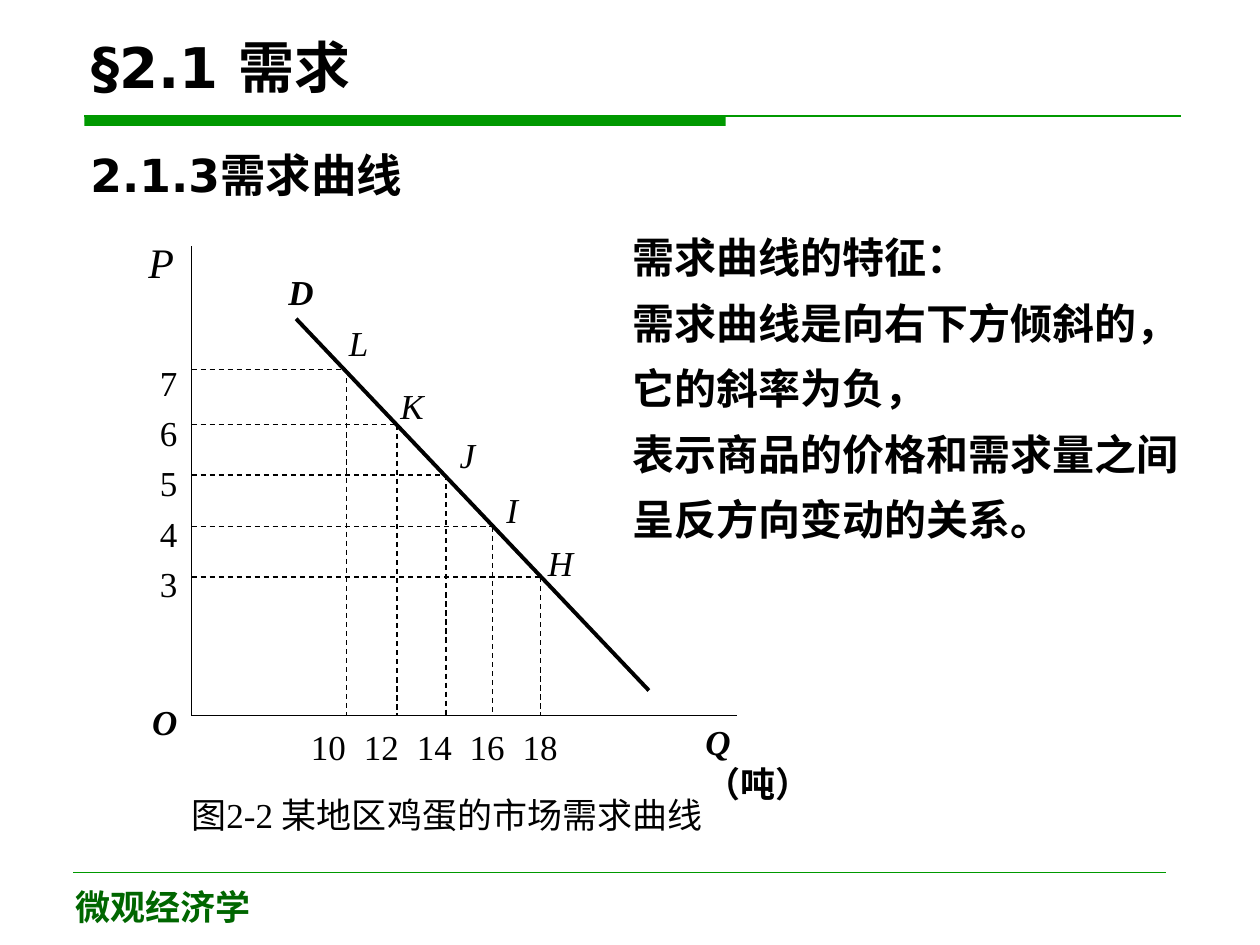
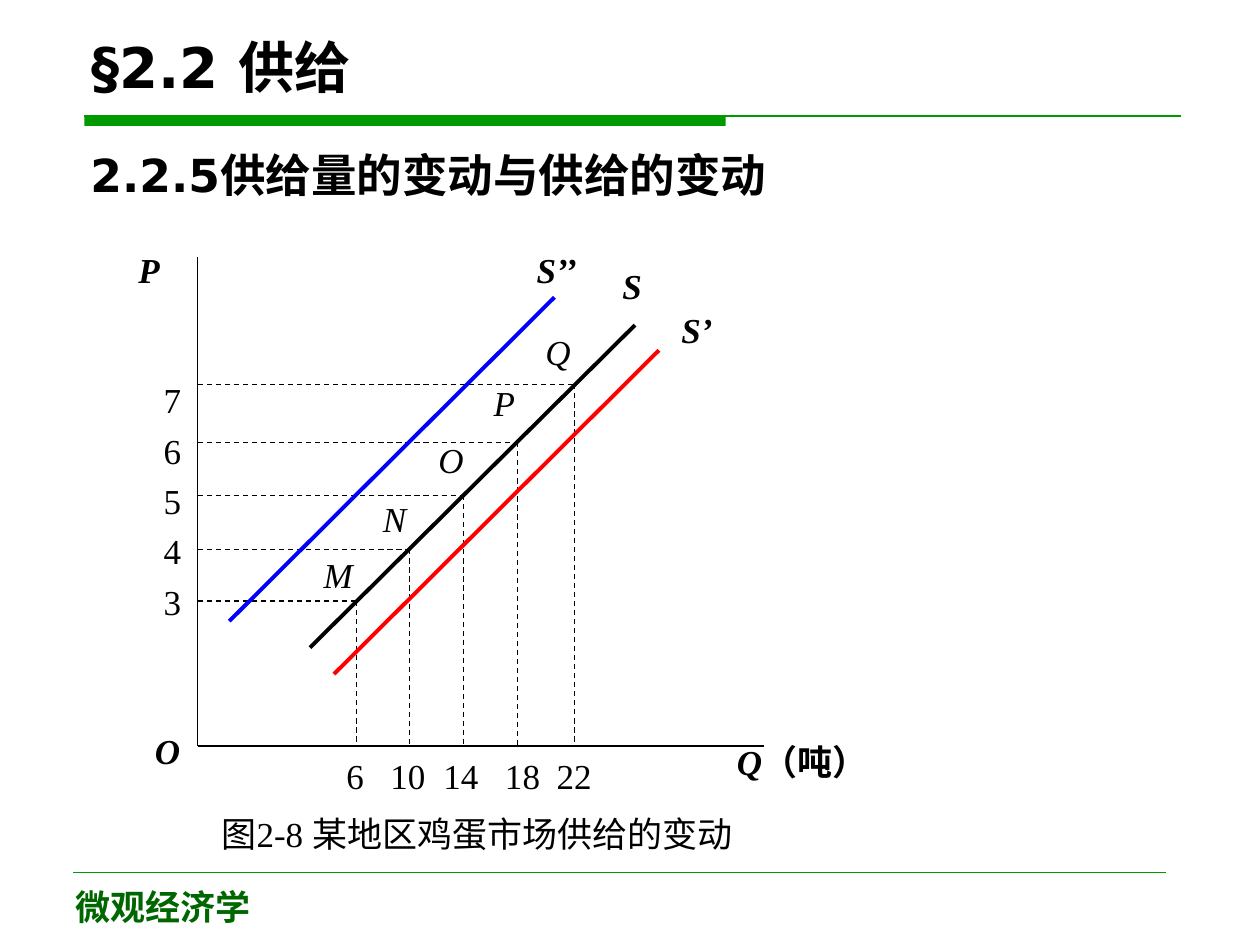
import pptx
import pptx.dml.color
import pptx.enum.dml
import pptx.enum.shapes
import pptx.enum.text
import pptx.oxml.ns
import pptx.util
from lxml import etree
from pptx.util import Inches

# Shared style
COLOURS = {"ink": "000000", "band": "009900", "footer": "006600",
           "red": "FF0000", "blue": "0000FF"}
HEADING, SERIF = "DejaVu Sans", "Times New Roman"
ALIGN = pptx.enum.text.PP_ALIGN
FOOTER = "微观经济学"

FORMATS = {
    "title": {"name": HEADING, "size": 32, "bold": True},
    "subtitle": {"name": HEADING, "size": 26, "bold": True},
    "footer": {"name": HEADING, "size": 20, "bold": True},
    "notes": {"name": SERIF, "size": 24, "bold": True},
    "plain": {"name": SERIF, "size": 20},
    "point": {"name": SERIF, "size": 20, "italic": True},
    "large": {"name": SERIF, "size": 24, "italic": True},
    "curve": {"name": SERIF, "size": 20, "bold": True, "italic": True},
    "unit": {"name": SERIF, "size": 20, "bold": True},
}

# Content: each labelled point is (name, x, y, label left, label top)
PRICES = ["7", "6", "5", "4", "3"]
SLIDES = [
    {
        "title": "§2.1 需求",
        "subtitle": "2.1.3需求曲线",
        "caption": ("图2-2 某地区鸡蛋的市场需求曲线", 1.42, 6.25, 5.39),
        "origin": (1.52, 5.68), "axis_ends": (5.85, 1.95),
        "points": [("L", 2.75, 2.93, 2.67, 2.5), ("K", 3.15, 3.37, 3.08, 3),
                   ("J", 3.54, 3.77, 3.55, 3.39), ("I", 3.91, 4.18, 3.92, 3.83),
                   ("H", 4.29, 4.58, 4.25, 4.25)],
        "curves": [((2.35, 2.53), (5.15, 5.48), "ink")],
        "labels": [("O", 1.11, 5.51, "curve"), ("P", 1.08, 1.83, "large"),
                   ("D", 2.19, 2.1, "curve")],
        "quantity_axis": (5.5, 5.67, 1.15),
        "prices_at": (1.17, 2.75),
        "quantities": (["10", "12", "14", "16", "18"], 2.37, 5.71,
                       [0.42, 0.84, 1.26, 1.68]),
        "notes": ["需求曲线的特征：", "需求曲线是向右下方倾斜的，", "它的斜率为负，",
                  "表示商品的价格和需求量之间", "呈反方向变动的关系。"],
    },
    {
        "title": "§2.2 供给",
        "subtitle": "2.2.5供给量的变动与供给的变动",
        "caption": ("图2-8 某地区鸡蛋市场供给的变动", 1.66, 6.4, 4.9),
        "origin": (1.57, 5.92), "axis_ends": (6.06, 2.04),
        "points": [("M", 2.83, 4.77, 2.47, 4.34), ("N", 3.25, 4.36, 2.94, 3.9),
                   ("O", 3.68, 3.93, 3.38, 3.43), ("P", 4.11, 3.51, 3.82, 2.98),
                   ("Q", 4.56, 3.05, 4.23, 2.57)],
        "curves": [((2.46, 5.14), (5.04, 2.58), "ink"),
                   ((2.65, 5.35), (5.23, 2.78), "red"),
                   ((1.82, 4.93), (4.4, 2.36), "blue")],
        "labels": [("O", 1.13, 5.74, "curve"), ("P", 1, 1.92, "curve"),
                   ("S’", 5.31, 2.4, "curve"), ("S", 4.84, 2.05, "curve"),
                   ("S’’", 4.16, 1.92, "curve")],
        "quantity_axis": (5.75, 5.83, 1.41),
        "prices_at": (1.2, 2.89),
        "quantities": (["6", "10", "14", "18", "22"], 2.65, 5.94,
                       [0.35, 0.77, 1.26, 1.67]),
        "notes": [],
    },
]


def colour(name):
    return pptx.dml.color.RGBColor.from_string(COLOURS[name])


def format_font(font, style, ink):
    for key, value in FORMATS[style].items():
        setattr(font, key, pptx.util.Pt(value) if key == "size" else value)
    font.color.rgb = colour(ink)


def add_tabs(para, stops):
    tab_list = etree.SubElement(para._p.get_or_add_pPr(), pptx.oxml.ns.qn("a:tabLst"))
    for stop in stops:
        etree.SubElement(tab_list, pptx.oxml.ns.qn("a:tab"),
                         pos=str(Inches(stop)), algn="l")


def add_text(page, paragraphs, at, style, ink="ink", align=ALIGN.JUSTIFY,
             spacing=None, tabs=()):
    """Each paragraph is a string or a list of (text, style) spans."""
    box = page.shapes.add_textbox(*map(Inches, at))
    frame = box.text_frame
    frame.word_wrap = True
    for index, content in enumerate(paragraphs):
        para = frame.add_paragraph() if index else frame.paragraphs[0]
        if tabs:
            add_tabs(para, tabs)
        para.alignment = align
        if spacing:
            para.line_spacing = spacing
        spans = [(content, style)] if isinstance(content, str) else content
        for text, span_style in spans:
            span = para.add_run()
            span.text = text
            format_font(span.font, span_style, ink)
    return frame


def add_line(page, start, end, ink="ink", width=0.75, dashed=False):
    line = page.shapes.add_connector(pptx.enum.shapes.MSO_CONNECTOR.STRAIGHT,
                                     *map(Inches, start + end))
    line.line.color.rgb = colour(ink)
    line.line.width = pptx.util.Pt(width)
    if dashed:
        line.line.dash_style = pptx.enum.dml.MSO_LINE.DASH
    etree.SubElement(line._element.spPr, pptx.oxml.ns.qn("a:effectLst"))


def add_frame(page, title, subtitle):
    # Title band and footer
    band = page.shapes.add_shape(pptx.enum.shapes.MSO_SHAPE.RECTANGLE,
                                 *map(Inches, (0.67, 0.92, 5.09, 0.08)))
    band.shadow.inherit = False
    band.fill.solid()
    band.fill.fore_color.rgb = colour("band")
    band.line.fill.background()
    add_line(page, (0.67, 0.92), (9.37, 0.92), "band")
    add_line(page, (0.58, 6.92), (9.25, 6.92), "band", 0.25)
    add_text(page, [FOOTER], (0.5, 6.98, 2.5, 0.52), "footer", "footer", ALIGN.LEFT)

    # Headings
    heading = add_text(page, [title], (0.63, 0.17, 8.75, 0.67), "title",
                       align=ALIGN.LEFT)
    heading.vertical_anchor = pptx.enum.text.MSO_ANCHOR.BOTTOM
    add_text(page, [subtitle], (0.62, 1.17, 8, 0.5), "subtitle", spacing=0.9)


def add_diagram(page, content):
    # Axes
    left, base = content["origin"]
    right, top = content["axis_ends"]
    add_line(page, (left, base), (right, base))
    add_line(page, (left, base), (left, top))

    # Guides from each point to both axes
    for name, x, y, label_left, label_top in content["points"]:
        add_line(page, (left, y), (x, y), dashed=True)
        add_line(page, (x, y), (x, base), dashed=True)
        add_text(page, [name], (label_left, label_top, 0.55, 0.55), "point")

    # Curves and names
    for start, end, ink in content["curves"]:
        add_line(page, start, end, ink, 2.25)
    for name, x, y, style in content["labels"]:
        add_text(page, [name], (x, y, 0.85, 0.55), style)

    # Scales and caption
    x, y, width = content["quantity_axis"]
    add_text(page, [[("Q", "curve"), ("（吨）", "unit")]], (x, y, width, 0.55), "curve")
    add_text(page, PRICES, content["prices_at"] + (0.53, 2.95), "plain", spacing=1.2)
    quantities, x, y, stops = content["quantities"]
    add_text(page, ["\t".join(quantities)], (x, y, 2.9, 0.55), "plain",
             align=ALIGN.LEFT, tabs=stops)
    caption, x, y, width = content["caption"]
    add_text(page, [caption], (x, y, width, 0.65), "plain")


def main():
    deck = pptx.Presentation()
    deck.slide_width, deck.slide_height = Inches(10), Inches(7.5)
    for content in SLIDES:
        page = deck.slides.add_slide(deck.slide_layouts[6])
        add_frame(page, content["title"], content["subtitle"])
        add_diagram(page, content)
        if content["notes"]:
            notes = add_text(page, content["notes"], (4.92, 1.67, 5.08, 2.7),
                             "notes", spacing=1.3)
            notes.auto_size = pptx.enum.text.MSO_AUTO_SIZE.SHAPE_TO_FIT_TEXT
    deck.save("out.pptx")


if __name__ == "__main__":
    main()
